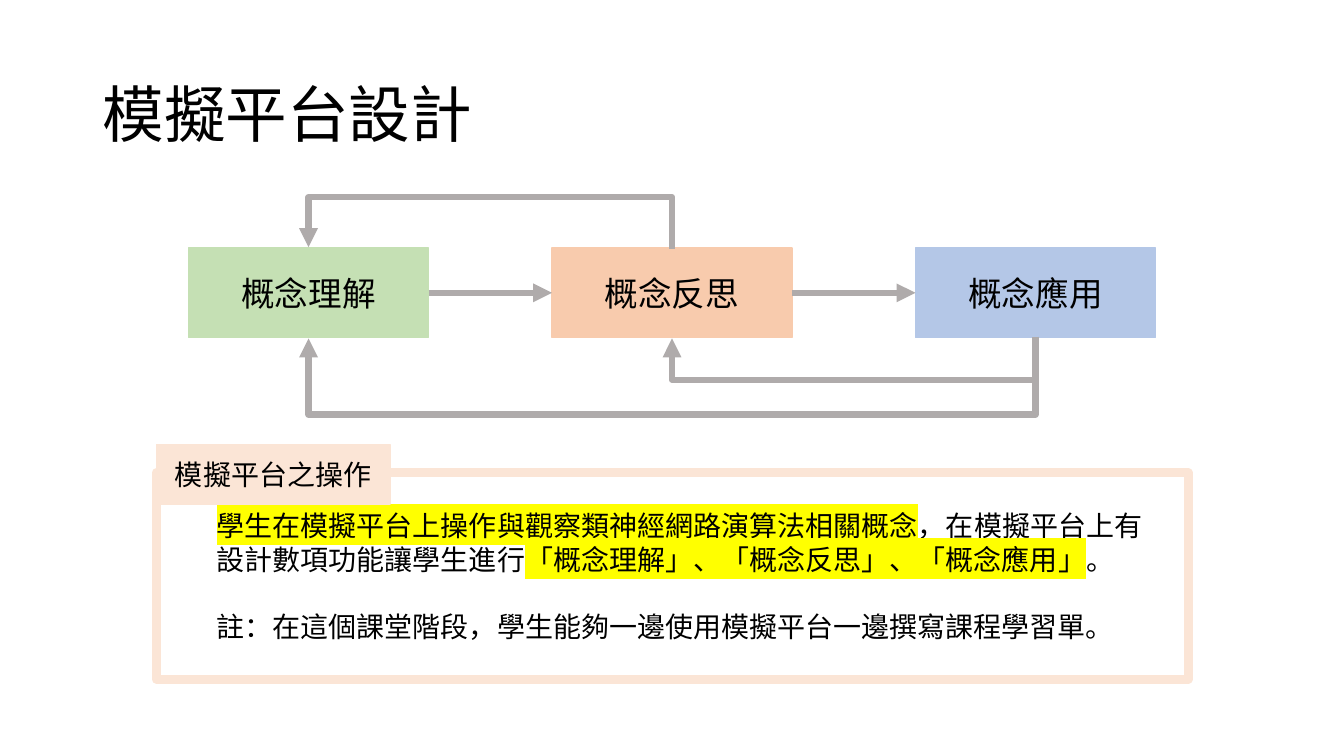
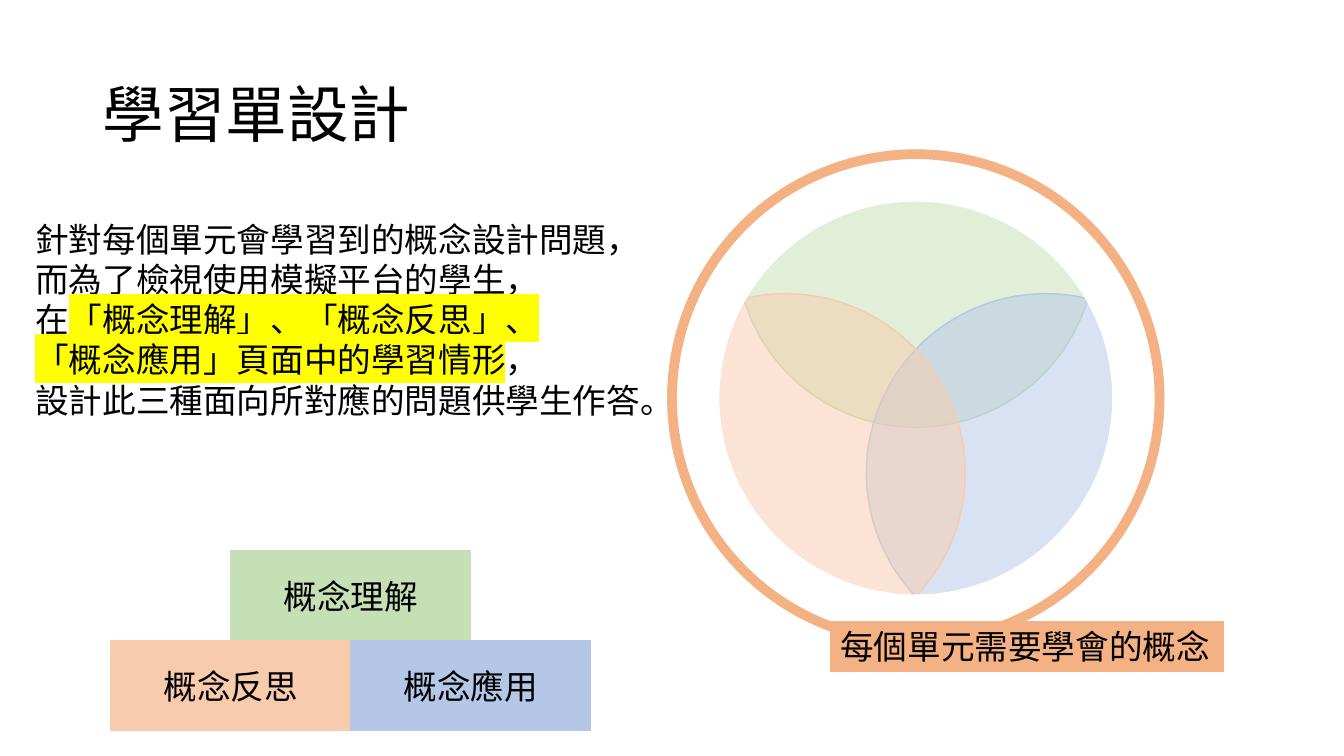
"""Build two slides on the simulation platform and the worksheet design."""
import math

from lxml import etree
from pptx import Presentation
from pptx import util as u
from pptx.dml import color as dml
from pptx.enum import shapes, text
from pptx.oxml import ns

FONT = "Noto Sans CJK SC"
COLOURS = {
    "black": "000000", "white": "FFFFFF", "green": "C5E0B4", "orange": "F8CBAD",
    "blue": "B4C7E7", "arrow": "AFABAB", "frame": "FBE5D6", "ring": "F4B183",
    "marker": "FFFF00",
}
TITLE_PLACE = (2.33, 1.01, 29.21, 3.68)
CONCEPTS = [("概念理解", "green"), ("概念反思", "orange"), ("概念應用", "blue")]
BOX_WIDTH, BOX_HEIGHT = 6.05, 2.26
TOP, LEFT, BOTTOM, RIGHT = range(4)

FLOW_LEFT, FLOW_TOP, FLOW_STEP = 4.75, 6.25, 9.16
FORWARD_ARROWS = [(0, 1), (1, 2)]
RETURN_ARROWS = [(1, 0, TOP, 1.3), (2, 1, BOTTOM, 1.08), (2, 0, BOTTOM, 1.96)]
ELBOW_THICKNESS = 0.04

FRAME_PLACE = (3.94, 11.91, 26.01, 5.21)
TAB_PLACE = (3.94, 11.2, 5.89, 1.5)
TAB_TEXT = "模擬平台之操作"
OPERATION = [
    [("學生在模擬平台上操作與觀察類神經網路演算法相關概念", True), ("，在模擬平台上有", False)],
    [("設計數項功能讓學生進行", False), ("「概念理解」、「概念反思」、「概念應用」", True), ("。", False)],
    [("註：在這個課堂階段，學生能夠一邊使用模擬平台一邊撰寫課程學習單。", False)],
]

WORKSHEET_PLACE = (0.64, 5.38, 16.76, 5.39)
WORKSHEET = [
    [("針對每個單元會學習到的概念設計問題，", False)],
    [("而為了檢視使用模擬平台的學生，", False)],
    [("在", False), ("「概念理解」、「概念反思」、", True)],
    [("「概念應用」頁面中的學習情形", True), ("，", False)],
    [("設計此三種面向所對應的問題供學生作答。", False)],
]
VENN_CENTRE = (23.08, 10.03)
VENN_ORBIT, VENN_DIAMETER = 3.78, 9.04
VENN_ANGLES = [("green", -90), ("blue", 30), ("orange", 150)]
RINGS = [(16.84, 0.205, "white"), (12.5, 0.017, "ring")]
LABEL_PLACE = (20.93, 15.65, 9.91, 1.27)
LABEL_TEXT = "每個單元需要學會的概念"
PYRAMID_LEFT, PYRAMID_TOP = 2.79, 13.89


def lengths(values):
    return [u.Cm(value) for value in values]


def rgb(name):
    return dml.RGBColor.from_string(COLOURS[name])


def add_run(paragraph, words, size, marked=False):
    run = paragraph.add_run()
    run.text = words
    run.font.size = u.Pt(size)
    run.font.name = FONT
    run.font.color.rgb = rgb("black")
    properties = run.font._element
    etree.SubElement(properties, ns.qn("a:ea")).set("typeface", FONT)
    if marked:
        highlight = etree.Element(ns.qn("a:highlight"))
        etree.SubElement(highlight, ns.qn("a:srgbClr")).set("val", COLOURS["marker"])
        properties.find(ns.qn("a:solidFill")).addnext(highlight)


def write(shape, lines, size, align=text.PP_ALIGN.LEFT, anchor=text.MSO_ANCHOR.MIDDLE):
    frame = shape.text_frame
    frame.word_wrap = True
    frame.vertical_anchor = anchor
    for index, line in enumerate(lines):
        paragraph = frame.add_paragraph() if index else frame.paragraphs[0]
        paragraph.alignment = align
        paragraph.line_spacing = u.Pt(size * 1.2)
        for words, marked in line:
            add_run(paragraph, words, size, marked)
    return frame.paragraphs


def add_figure(slide, kind, place, fill, line=None, width=1):
    shape = slide.shapes.add_shape(kind, *lengths(place))
    shape.shadow.inherit = False
    shape.fill.solid()
    shape.fill.fore_color.rgb = rgb(fill)
    shape.line.color.rgb = rgb(line or fill)
    shape.line.width = u.Pt(width)
    return shape


def add_rectangle(slide, place, fill, line=None, width=1):
    return add_figure(slide, shapes.MSO_SHAPE.RECTANGLE, place, fill, line, width)


def add_round(slide, kind, centre, diameter, fill):
    corner = [middle - diameter / 2 for middle in centre]
    return add_figure(slide, kind, (*corner, diameter, diameter), fill)


def add_concept(slide, concept, left, top):
    words, colour = concept
    box = add_rectangle(slide, (left, top, BOX_WIDTH, BOX_HEIGHT), colour)
    write(box, [[(words, False)]], 24, text.PP_ALIGN.CENTER)
    return box


def add_arrow(slide, kind, start, end):
    arrow = slide.shapes.add_connector(kind, *lengths((*start, *end)))
    arrow.line.color.rgb = rgb("arrow")
    arrow.line.width = u.Pt(4.5)
    properties = arrow._element.spPr
    etree.SubElement(properties.find(ns.qn("a:ln")), ns.qn("a:tailEnd")).set("type", "triangle")
    etree.SubElement(properties, ns.qn("a:effectLst"))
    return arrow


def add_return_arrow(slide, start_x, end_x, y, side, depth):
    span = start_x - end_x
    left = (start_x + end_x - ELBOW_THICKNESS) / 2
    top = y - span / 2
    arrow = add_arrow(slide, shapes.MSO_CONNECTOR.ELBOW, (left, top),
                      (left + ELBOW_THICKNESS, top + span))
    properties = arrow._element.spPr
    transform = properties.find(ns.qn("a:xfrm"))
    transform.set("rot", str((270 if side == TOP else 90) * 60000))
    if side == TOP:
        transform.set("flipV", "1")
    guide = etree.SubElement(properties.find(ns.qn("a:prstGeom")).get_or_add_avLst(), ns.qn("a:gd"))
    guide.set("name", "adj1")
    guide.set("fmla", f"val {round(depth / ELBOW_THICKNESS * 100000)}")


def add_slide(presentation, title):
    slide = presentation.slides.add_slide(presentation.slide_layouts[5])
    shape = slide.shapes.title
    shape.left, shape.top, shape.width, shape.height = lengths(TITLE_PLACE)
    write(shape, [[(title, False)]], 44)
    return slide


def build_platform(presentation):
    slide = add_slide(presentation, "模擬平台設計")
    lefts = [FLOW_LEFT + index * FLOW_STEP for index in range(len(CONCEPTS))]
    boxes = [add_concept(slide, concept, left, FLOW_TOP)
             for concept, left in zip(CONCEPTS, lefts)]
    middle = FLOW_TOP + BOX_HEIGHT / 2
    for source, target in FORWARD_ARROWS:
        arrow = add_arrow(slide, shapes.MSO_CONNECTOR.STRAIGHT,
                          (lefts[source] + BOX_WIDTH, middle), (lefts[target], middle))
        arrow.begin_connect(boxes[source], RIGHT)
        arrow.end_connect(boxes[target], LEFT)

    frame = add_rectangle(slide, FRAME_PLACE, "white", "frame", 6)
    paragraphs = write(frame, OPERATION, 20)
    for paragraph in paragraphs:
        paragraph._p.get_or_add_pPr().set("marL", str(u.Cm(1.27)))
    paragraphs[-1].space_before = u.Pt(24)
    tab = add_rectangle(slide, TAB_PLACE, "frame")
    write(tab, [[(TAB_TEXT, False)]], 20, text.PP_ALIGN.CENTER)

    centres = [left + BOX_WIDTH / 2 for left in lefts]
    for source, target, side, depth in RETURN_ARROWS:
        edge = FLOW_TOP + (0 if side == TOP else BOX_HEIGHT)
        add_return_arrow(slide, centres[source], centres[target], edge, side, depth)


def build_worksheet(presentation):
    slide = add_slide(presentation, "學習單設計")
    for colour, angle in VENN_ANGLES:
        turn = math.radians(angle)
        centre = (VENN_CENTRE[0] + VENN_ORBIT * math.cos(turn),
                  VENN_CENTRE[1] + VENN_ORBIT * math.sin(turn))
        circle = add_round(slide, shapes.MSO_SHAPE.OVAL, centre, VENN_DIAMETER, colour)
        fill = circle._element.spPr.find(ns.qn("a:solidFill"))
        etree.SubElement(fill[0], ns.qn("a:alpha")).set("val", "50000")
    for diameter, thickness, colour in RINGS:
        ring = add_round(slide, shapes.MSO_SHAPE.DONUT, VENN_CENTRE, diameter, colour)
        ring.adjustments[0] = thickness

    label = add_rectangle(slide, LABEL_PLACE, "ring", width=0.75)
    write(label, [[(LABEL_TEXT, False)]], 24)
    bottom = PYRAMID_TOP + BOX_HEIGHT
    places = [(PYRAMID_LEFT + BOX_WIDTH / 2, PYRAMID_TOP),
              (PYRAMID_LEFT, bottom), (PYRAMID_LEFT + BOX_WIDTH, bottom)]
    for concept, place in zip(CONCEPTS, places):
        add_concept(slide, concept, *place)
    box = slide.shapes.add_textbox(*lengths(WORKSHEET_PLACE))
    write(box, WORKSHEET, 24, anchor=text.MSO_ANCHOR.TOP)


def main():
    presentation = Presentation()
    presentation.slide_width, presentation.slide_height = lengths((33.87, 19.05))
    build_platform(presentation)
    build_worksheet(presentation)
    presentation.save("out.pptx")


if __name__ == "__main__":
    main()
